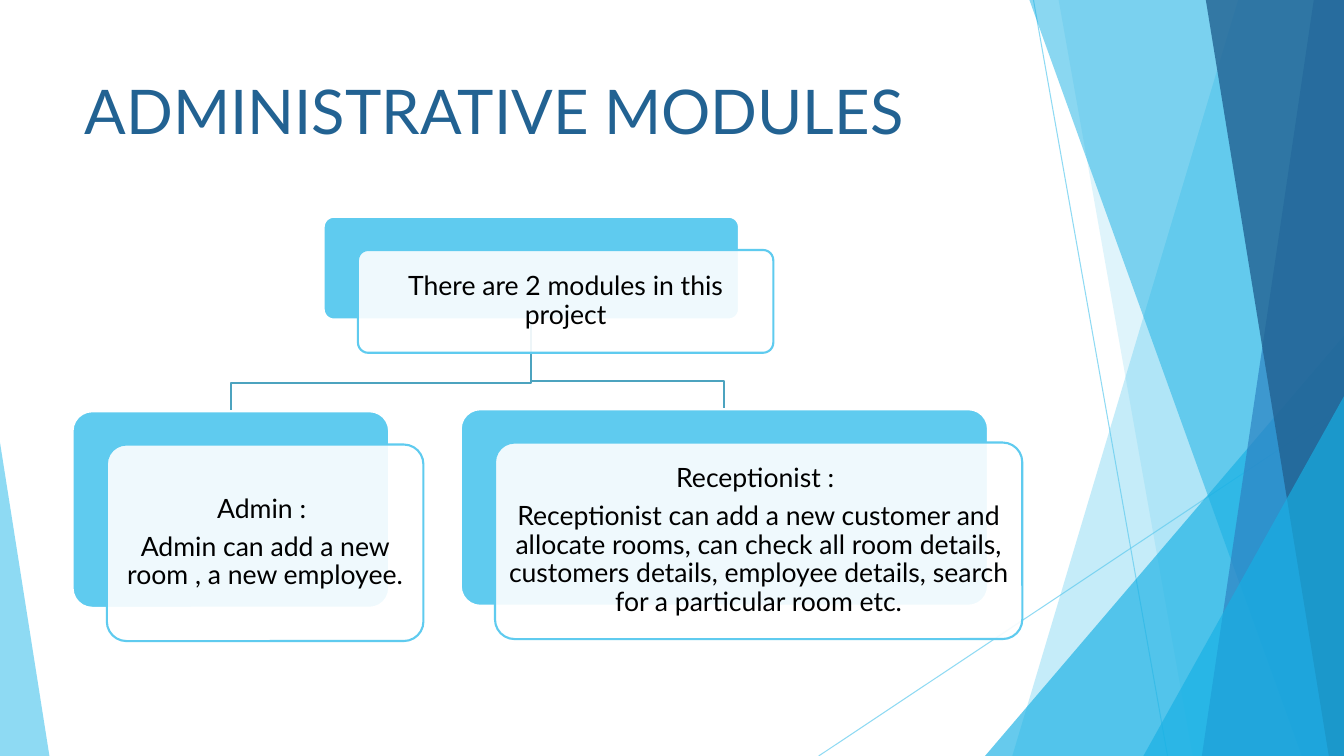
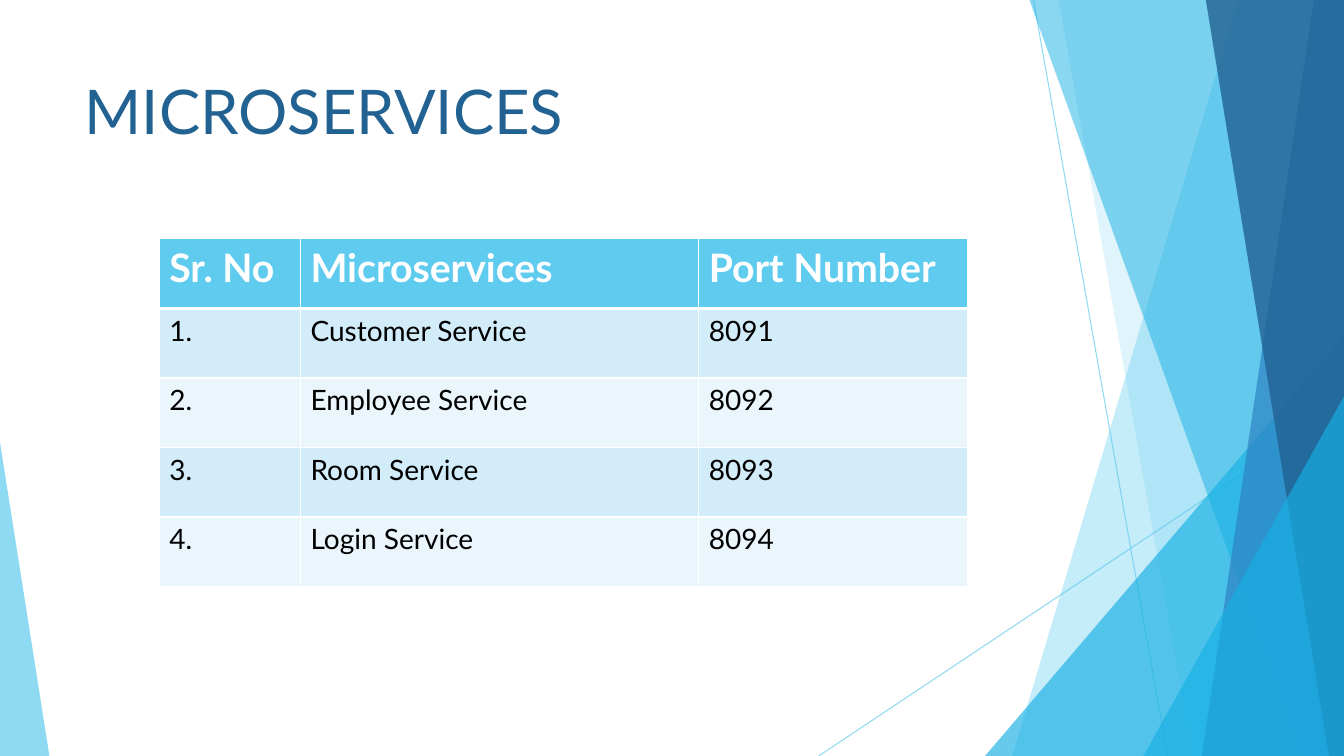
from collections import namedtuple

from lxml.etree import SubElement
from pptx import Presentation
from pptx.dml.color import RGBColor
from pptx.enum.shapes import MSO_CONNECTOR, MSO_SHAPE
from pptx.enum.text import MSO_ANCHOR, MSO_AUTO_SIZE, PP_ALIGN
from pptx.oxml.ns import qn
from pptx.util import Pt

PX = 9144
SKY, AZURE, BLUE, NAVY = "5FCBEF", "17B0E4", "2E83C3", "226292"
TEAL, WHITE, BLACK = "4CA3BF", "FFFFFF", "000000"
ROW_TINTS = ("D2ECF9", "EAF6FC")
FONT = "Lato"

Box = namedtuple("Box", "left top width height")
PAGE = Box(0, 0, 1333, 750)
TITLE = Box(74, 67, 940, 144)
TREE = Box(72, 215, 942, 421)
TABLE = Box(158, 237, 802, 345)

ROOT_TEXT = ["There are 2 modules in this project"]
CHILDREN = [
    (Box(385, 191, 523, 195), [
        "Receptionist : ",
        "Receptionist can add a new customer and allocate rooms, can check all room details, "
        "customers details, employee details, search for a particular room etc."]),
    (Box(0, 193, 314, 195), [
        "Admin : ",
        "Admin can add a new room , a new employee."]),
]
SERVICES = [
    ("Sr. No", "Microservices", "Port Number"),
    ("1.", "Customer Service", "8091"),
    ("2.", "Employee Service", "8092"),
    ("3.", "Room Service", "8093"),
    ("4.", "Login Service", "8094"),
]


def rgb(hex_color):
    """Turn a hex string into a colour."""
    return RGBColor.from_string(hex_color)


def emu(lengths):
    """Turn px lengths into EMU."""
    return [length * PX for length in lengths]


def apply(target, formats):
    """Set each attribute of a target from a dict."""
    for name, value in formats.items():
        setattr(target, name, value)


def write(paragraph, text, size, color, bold=False):
    """Add a run in the deck's font."""
    run = paragraph.add_run()
    run.text = text
    apply(run.font, {"name": FONT, "size": Pt(size), "bold": bold})
    run.font.color.rgb = rgb(color)


def fade(part, opacity):
    """Give the colours set so far on a part an opacity in percent."""
    for color in part.element.spPr.iter(qn("a:srgbClr")):
        SubElement(color, qn("a:alpha")).set("val", str(opacity * 1000))


def paint(shape, fill, opacity=100, outline=None):
    """Fill a shape and give it an outline or none."""
    shape.shadow.inherit = False
    shape.fill.solid()
    shape.fill.fore_color.rgb = rgb(fill)
    if opacity < 100:
        fade(shape, opacity)
    if outline:
        shape.line.color.rgb = rgb(outline)
        shape.line.width = Pt(1.5)
    else:
        shape.line.fill.background()


def trace(slide, points, close):
    """Draw an outline through px points."""
    builder = slide.shapes.build_freeform(*points[0], scale=PX)
    builder.add_line_segments(points[1:], close=close)
    return builder.convert_to_shape()


def add_hairline(slide, start, end):
    """Draw one thin translucent line."""
    hairline = slide.shapes.add_connector(MSO_CONNECTOR.STRAIGHT, *emu(start + end))
    hairline.line.color.rgb = rgb(SKY)
    hairline.line.width = Pt(0.75)
    fade(hairline, 70)
    SubElement(hairline.element.spPr, qn("a:effectLst"))


def add_band(slide, box, top_x, bottom_x, color, opacity):
    """Fill from a slanted edge to the right side of the box."""
    right, bottom = box.left + box.width, box.top + box.height
    corners = [(box.left + top_x, box.top), (right, box.top),
               (right, bottom), (box.left + bottom_x, bottom)]
    paint(trace(slide, corners, True), color, opacity)


def add_wedge(slide, box, left, width, height, apex, color, opacity):
    """Stand a right triangle on the bottom of the box."""
    top = box.top + box.height - height
    wedge = slide.shapes.add_shape(
        MSO_SHAPE.ISOSCELES_TRIANGLE, *emu((box.left + left, top, width, height)))
    wedge.adjustments[0] = apex
    paint(wedge, color, opacity)


def draw_facets(slide, box):
    """Draw the overlapping facets at the sides of the page."""
    right, bottom = box.left + box.width, box.top + box.height
    add_hairline(slide, (box.left + 1025, box.top), (box.left + 1158, bottom))
    add_hairline(slide, (right, box.top + 403), (box.left + 812, bottom))
    add_band(slide, box, 1228, 1004, SKY, 36)
    add_band(slide, box, 1050, 1183, SKY, 20)
    add_wedge(slide, box, 977, 356, 417, 1, AZURE, 66)
    add_band(slide, box, 1021, 1291, AZURE, 50)
    add_band(slide, box, 1303, 1192, BLUE, 70)
    add_band(slide, box, 1196, 1318, NAVY, 80)
    add_wedge(slide, box, 1134, 199, 357, 1, AZURE, 66)
    add_wedge(slide, box, 0, 49, 311, 0, SKY, 70)


def share_facets(slide, layout):
    """Draw the facets once and move them to the layout."""
    for holder in list(layout.placeholders)[1:]:
        layout.shapes.element.remove(holder.element)
    draw_facets(slide, PAGE)
    for facet in list(slide.shapes):
        if not facet.is_placeholder:
            layout.shapes.element.append(facet.element)


def set_title(slide, box, text):
    """Place and format the slide's title."""
    title = slide.shapes.title
    apply(title, dict(zip(Box._fields, emu(box))))
    apply(title.text_frame, {"word_wrap": True, "auto_size": MSO_AUTO_SIZE.NONE,
                             "vertical_anchor": MSO_ANCHOR.TOP})
    heading = title.text_frame.paragraphs[0]
    heading.alignment = PP_ALIGN.LEFT
    write(heading, text, 44, NAVY)


def add_card(slide, box, lines):
    """Draw a plate with a translucent text card shifted over it."""
    front_box = box._replace(left=box.left + 34, top=box.top + 33)
    plate, card = [
        slide.shapes.add_shape(MSO_SHAPE.ROUNDED_RECTANGLE, *emu(place))
        for place in (box, front_box)]
    paint(plate, SKY, outline=WHITE)
    paint(card, WHITE, 90, SKY)
    for layer in (plate, card):
        layer.adjustments[0] = 0.1
    frame = card.text_frame
    apply(frame, {"word_wrap": True, "vertical_anchor": MSO_ANCHOR.MIDDLE})
    apply(frame, {f"margin_{side}": 8 * PX for side in ("left", "top", "right", "bottom")})
    for index, line in enumerate(lines):
        paragraph = frame.add_paragraph() if index else frame.paragraphs[0]
        apply(paragraph, {"alignment": PP_ALIGN.CENTER, "line_spacing": 0.9,
                          "space_after": Pt(6.65)})
        write(paragraph, line, 19, BLACK)


def add_branch(slide, parent, child):
    """Draw an angled line from the parent's bottom to the child's top."""
    start_x, end_x = [node.left + node.width / 2 for node in (parent, child)]
    bend = child.top - 28
    branch = trace(slide, [(start_x, parent.top + parent.height), (start_x, bend),
                           (end_x, bend), (end_x, child.top)], False)
    branch.shadow.inherit = False
    branch.fill.background()
    branch.line.color.rgb = rgb(TEAL)
    branch.line.width = Pt(1.5)


def draw_module_tree(slide, box):
    """Draw the root card and its children inside the box."""
    root = Box(box.left + 249, box.top, 412, 102)
    children = [(node._replace(left=box.left + node.left, top=box.top + node.top), lines)
                for node, lines in CHILDREN]
    for node, _ in children:
        add_branch(slide, root, node)
    for node, lines in [(root, ROOT_TEXT)] + children:
        add_card(slide, node, lines)


def set_borders(cell, widths):
    """Give a cell white borders with widths in points by side."""
    for side, width in widths.items():
        border = SubElement(cell._tc.get_or_add_tcPr(), qn(f"a:ln{side}"), w=str(Pt(width)))
        fill = SubElement(border, qn("a:solidFill"))
        SubElement(fill, qn("a:srgbClr"), val=WHITE)


def draw_service_table(slide, box):
    """Draw the table of services and ports."""
    table = slide.shapes.add_table(len(SERVICES), len(SERVICES[0]), *emu(box)).table
    for column, width in zip(table.columns, (140, 395, 267)):
        column.width = width * PX
    for row, texts in enumerate(SERVICES):
        header = row == 0
        table.rows[row].height = box.height * PX // len(SERVICES)
        for column, text in enumerate(texts):
            cell = table.cell(row, column)
            set_borders(cell, {"L": 1, "R": 1, "T": 3 if row == 1 else 1,
                               "B": 3 if header else 1})
            cell.fill.solid()
            cell.fill.fore_color.rgb = rgb(SKY if header else ROW_TINTS[(row - 1) % 2])
            write(cell.text_frame.paragraphs[0], text, 28 if header else 20,
                  WHITE if header else BLACK, header)


def main():
    """Build and save the deck."""
    deck = Presentation()
    apply(deck, {"slide_width": PAGE.width * PX, "slide_height": PAGE.height * PX})
    layout = deck.slide_layouts[5]
    modules, services = [deck.slides.add_slide(layout) for _ in range(2)]
    share_facets(modules, layout)
    set_title(modules, TITLE, "ADMINISTRATIVE MODULES")
    draw_module_tree(modules, TREE)
    set_title(services, TITLE, "MICROSERVICES")
    draw_service_table(services, TABLE)
    deck.save("out.pptx")


if __name__ == "__main__":
    main()
